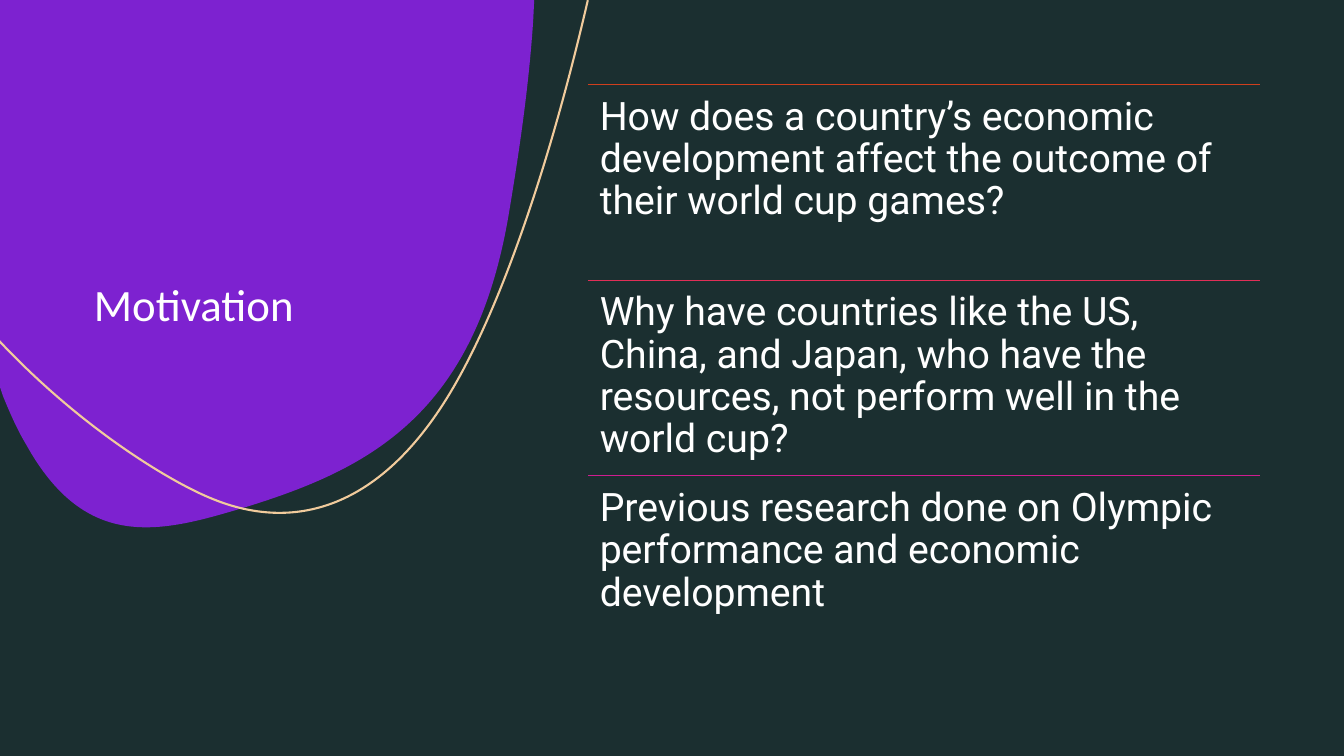
from lxml.etree import SubElement
from pptx import Presentation
from pptx.dml.color import RGBColor
from pptx.enum.shapes import MSO_CONNECTOR, MSO_SHAPE
from pptx.enum.text import MSO_ANCHOR
from pptx.oxml.ns import qn
from pptx.util import Pt

HUES = {
    "back": "1B2F30", "blob": "7D22D0", "curve": "F1CB9C", "text": "FFFFFF",
    "red": "CF3F1D", "rose": "E12F57", "pink": "CF1D90",
}

# Outlines in points: a pair is a corner, six numbers are a cubic curve
BLOB = [
    (381.6, 0), (380.9, 14.4),
    (378, 59, 371.5, 105.1, 363.6, 151.9),
    (339.8, 295.9, 264.2, 334.8, 175.7, 362.2),
    (115.9, 380.2, 61.9, 395.3, 18.7, 317.5),
    (12.2, 306.7, 7.2, 295.2, 2.2, 283),
    (0, 276.5), (0, 0),
]
CURVE = [
    (419.8, 0), (419.8, 0.7),
    (393.8, 113, 360.7, 211, 326.9, 271.4),
    (275.8, 362.9, 211.7, 380.9, 151.9, 356.4),
    (124.6, 345.6, 60.5, 308.2, 0, 244.1),
    (0, 243.4),
]
BLOB_H, CURVE_H = 376.6, 366.5

ROWS = [
    ("red", "How does a country’s economic development affect the outcome "
            "of their world cup games?"),
    ("rose", "Why have countries like the US, China, and Japan, who have the "
             "resources, not perform well in the world cup?"),
    ("pink", "Previous research done on Olympic performance and economic "
             "development"),
]
LEFT, TOP, WIDTH, STEP = 420, 60.48, 480, 139.68


def hue(name):
    return RGBColor.from_string(HUES[name])


def apply(target, values):
    for key, value in values.items():
        setattr(target, key, value)


def paint(shape, name):
    shape.shadow.inherit = False
    shape.fill.solid()
    shape.fill.fore_color.rgb = hue(name)
    shape.line.fill.background()


def add_form(slide, parts, height, closed):
    """Draw through all the points, then bend each curve's three lines."""
    dots = [(Pt(part[k]), Pt(part[k + 1]))
            for part in parts for k in range(0, len(part), 2)]
    pen = slide.shapes.build_freeform(*dots[0], scale=1.0)
    pen.add_line_segments(dots[1:], close=closed)
    form = pen.convert_to_shape()
    form.shadow.inherit = False

    route = form._element.find(".//" + qn("a:path"))
    lines = iter(route.findall(qn("a:lnTo")))
    for part in parts[1:]:
        line = next(lines)
        if len(part) == 6:
            line.tag = qn("a:cubicBezTo")
            for _ in range(2):
                extra = next(lines)
                line.append(extra[0])
                route.remove(extra)

    # Curves stop short of their control points
    form.height = Pt(height)
    route.set("h", str(Pt(height)))
    return form


def add_curve(slide):
    form = add_form(slide, CURVE, CURVE_H, False)
    form.fill.background()
    form.line.color.rgb = hue("curve")
    form.line.width = Pt(1.5)


def add_rule(slide, top, name):
    rule = slide.shapes.add_connector(
        MSO_CONNECTOR.STRAIGHT, Pt(LEFT), Pt(top), Pt(LEFT + WIDTH), Pt(top))
    rule.line.color.rgb = hue(name)
    rule.line.width = Pt(1)
    SubElement(rule._element.spPr, qn("a:effectLst"))


def add_text(slide, box, text, font, frame):
    shape = slide.shapes.add_textbox(*map(Pt, box))
    apply(shape.text_frame, {"word_wrap": True, **frame})
    para = shape.text_frame.paragraphs[0]
    para.line_spacing = 0.9
    run = para.add_run()
    run.text = text
    apply(run.font, font)
    run.font.color.rgb = hue("text")


def main():
    deck = Presentation()
    apply(deck, {"slide_width": Pt(960), "slide_height": Pt(540)})
    slide = deck.slides.add_slide(deck.slide_layouts[6])

    # Backdrop
    slide.background.fill.solid()
    slide.background.fill.fore_color.rgb = hue("back")
    panel = slide.shapes.add_shape(
        MSO_SHAPE.RECTANGLE, 0, 0, deck.slide_width, deck.slide_height)
    paint(panel, "back")
    paint(add_form(slide, BLOB, BLOB_H, True), "blob")
    add_curve(slide)

    # Title
    add_text(slide, (60, 60, 240, 180), "Motivation",
             {"name": "Calibri", "size": Pt(32)},
             {"vertical_anchor": MSO_ANCHOR.BOTTOM})

    # Ruled list
    pads = {f"margin_{side}": Pt(8.4)
            for side in ("left", "top", "right", "bottom")}
    for i, (name, text) in enumerate(ROWS):
        top = TOP + i * STEP
        add_rule(slide, top, name)
        add_text(slide, (LEFT, top, WIDTH, STEP), text,
                 {"name": "Roboto", "size": Pt(28)}, pads)

    deck.save("out.pptx")


if __name__ == "__main__":
    main()
